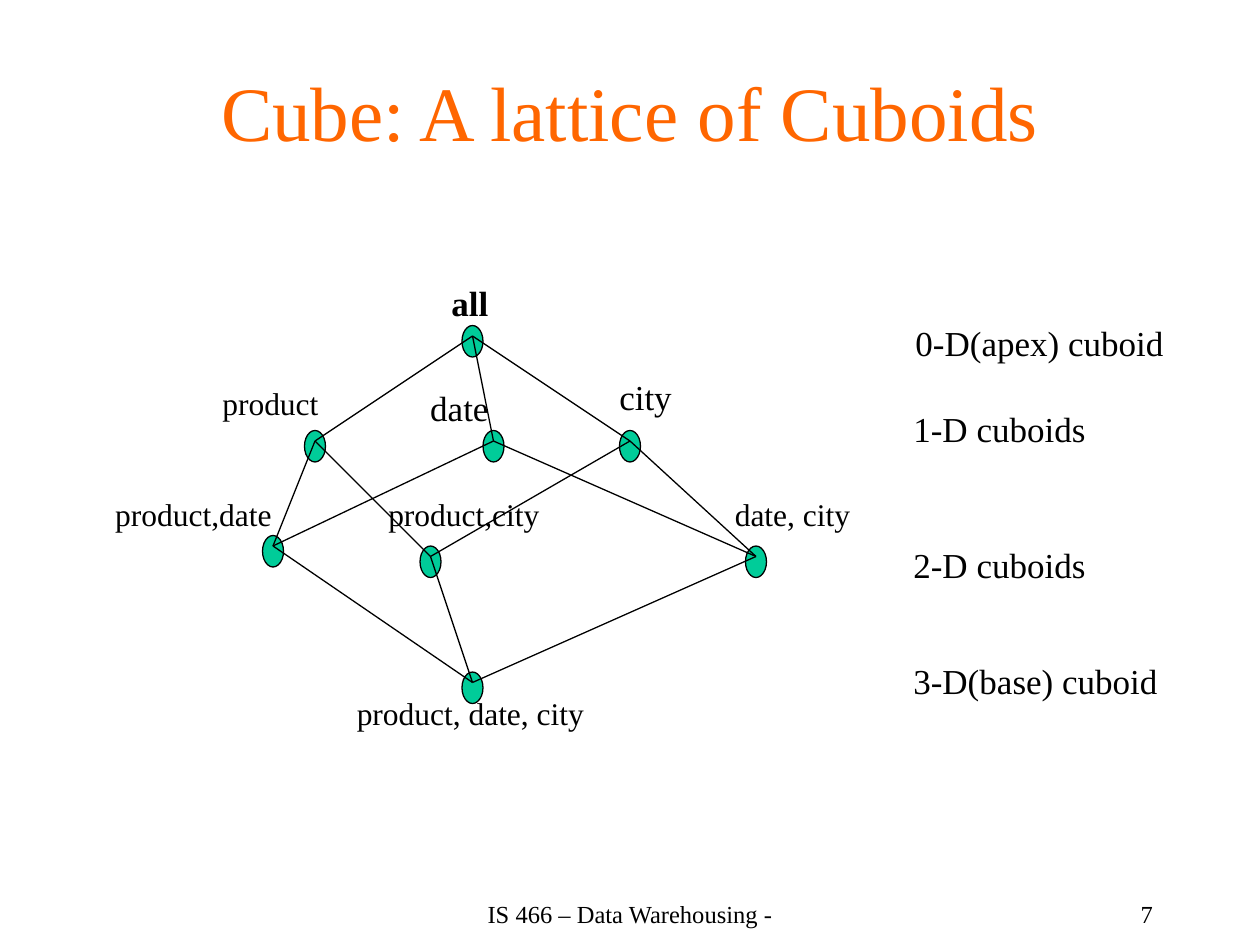
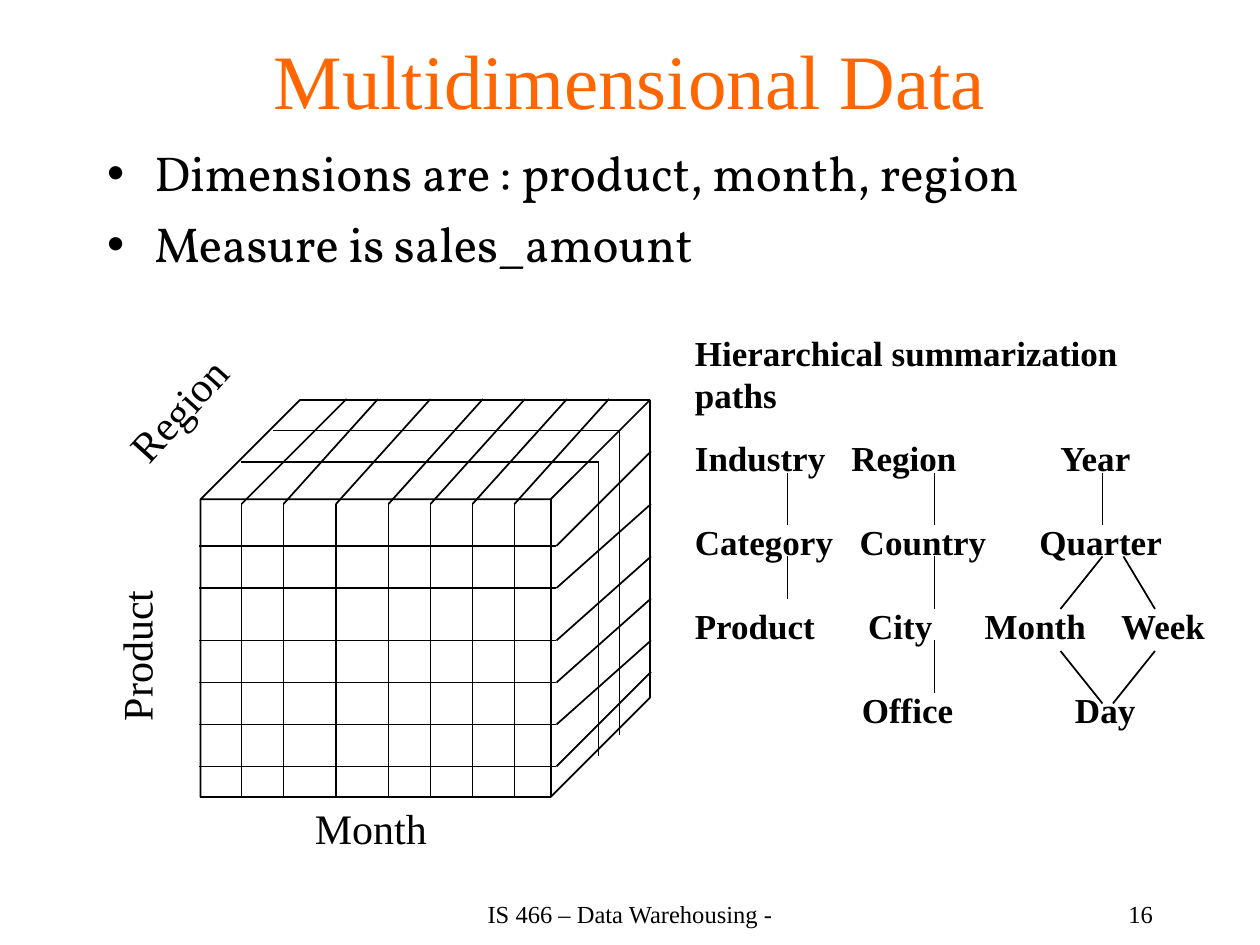
from lxml import etree
from pptx import Presentation
from pptx import util as u
from pptx.dml import color
from pptx.enum import shapes, text
from pptx.oxml import ns

PX = 7620
FONT = "Times New Roman"
BLACK, ORANGE, GREEN = "000000", "FF6600", "00CC99"
LEFT, CENTER, RIGHT = text.PP_ALIGN.LEFT, text.PP_ALIGN.CENTER, text.PP_ALIGN.RIGHT
TOP, MIDDLE = text.MSO_ANCHOR.TOP, text.MSO_ANCHOR.MIDDLE
rgb = color.RGBColor.from_string


def write(s, txt, box, sp=None, size=20, font=FONT, fill=BLACK, bold=False, align=LEFT,
          anchor=TOP, wrap=False, before=0, rot=0, tabs=()):
    x, y, w, h = [v * PX for v in box]
    sp = sp or s.shapes.add_textbox(x, y, w, h)
    sp.left, sp.top, sp.width, sp.height, sp.rotation = x, y, w, h, rot
    tf = sp.text_frame
    tf.word_wrap, tf.vertical_anchor = wrap, anchor
    tf.auto_size = text.MSO_AUTO_SIZE.NONE
    for i, row in enumerate(txt.split("\n")):
        p = tf.add_paragraph() if i else tf.paragraphs[0]
        p.alignment = align
        p.space_before = u.Pt(before)
        r = p.add_run()
        r.text = row
        r.font.size, r.font.name, r.font.bold = u.Pt(size), font, bold
        r.font.color.rgb = rgb(fill)
        if tabs:
            stops = etree.SubElement(p._p.get_or_add_pPr(), ns.qn("a:tabLst"))
            for pos in tabs[i]:
                etree.SubElement(stops, ns.qn("a:tab"), pos=str(pos * PX), algn="l")


def line(s, x1, y1, x2, y2, width=1):
    c = s.shapes.add_connector(shapes.MSO_CONNECTOR.STRAIGHT, x1 * PX, y1 * PX, x2 * PX, y2 * PX)
    c.line.width = u.Pt(width)
    c.line.color.rgb = rgb(BLACK)
    etree.SubElement(c._element.spPr, ns.qn("a:effectLst"))


prs = Presentation()
prs.slide_width, prs.slide_height = 1200 * PX, 900 * PX

slides = []
for layout, title, top, number in [
    (5, "Cube: A lattice of Cuboids", 30, "7"),
    (1, "Multidimensional Data", 0, "16"),
]:
    s = prs.slides.add_slide(prs.slide_layouts[layout])
    write(s, title, (90, top, 1020, 150), s.shapes.title, size=44, fill=ORANGE,
          align=CENTER, anchor=MIDDLE, wrap=True)
    write(s, "IS 466 – Data Warehousing -", (410, 840, 380, 60), size=14,
          align=CENTER, anchor=MIDDLE, wrap=True)
    write(s, number, (860, 840, 250, 60), size=14, align=RIGHT, anchor=MIDDLE, wrap=True)
    slides.append(s)
lattice, cube = slides

nodes = {
    "all": (450, 320),
    "p": (300, 420), "d": (470, 420), "c": (600, 420),
    "pd": (260, 520), "pc": (410, 530), "dc": (720, 530),
    "pdc": (450, 650),
}
for x, y in nodes.values():
    sp = lattice.shapes.add_shape(shapes.MSO_SHAPE.FLOWCHART_CONNECTOR,
                                  (x - 10) * PX, (y - 10) * PX, 20 * PX, 30 * PX)
    sp.shadow.inherit = False
    sp.fill.solid()
    sp.fill.fore_color.rgb = rgb(GREEN)
    sp.line.color.rgb = rgb(BLACK)
    sp.line.width = u.Pt(0.75)

for parent, children in {
    "all": ["p", "c", "d"],
    "p": ["pd", "pc"], "d": ["pd", "dc"], "c": ["pc", "dc"],
    "pd": ["pdc"], "pc": ["pdc"], "dc": ["pdc"],
}.items():
    for child in children:
        line(lattice, *nodes[parent], *nodes[child], width=0.75)

write(lattice, "all", (418, 262, 59, 53), bold=True)
for label, x, y, w, size in [
    ("product", 200, 360, 115, 18),
    ("date", 398, 362, 79, 20),
    ("city", 578, 352, 73, 20),
    ("product,date", 98, 466, 173, 18),
    ("product,city", 358, 466, 168, 18),
    ("date, city", 688, 466, 133, 18),
    ("product, date, city", 328, 655, 240, 18),
    ("0-D(apex) cuboid", 860, 300, 260, 20),
    ("1-D cuboids", 858, 382, 188, 20),
    ("2-D cuboids", 858, 512, 188, 20),
    ("3-D(base) cuboid", 858, 622, 257, 20),
]:
    write(lattice, label, (x, y, w, 50), size=size)

write(cube, "Dimensions are : product, month, region\nMeasure is sales_amount",
      (90, 130, 1020, 600), cube.placeholders[1], size=28, font="Vollkorn", wrap=True, before=7)

sp = cube.shapes.add_shape(shapes.MSO_SHAPE.CUBE, 191 * PX, 381 * PX, 428 * PX, 378 * PX)
sp.shadow.inherit = False
sp.fill.background()
sp.line.color.rgb = rgb(BLACK)
sp.line.width = u.Pt(1)

for y, back_y in [(520, 430), (560, 480), (610, 530), (650, 570), (690, 610), (730, 640)]:
    line(cube, 190, y, 530, y)
    line(cube, 530, y, 620, back_y)
for x in [230, 270, 320, 370, 410, 450, 490]:
    line(cube, x, 480, x, 760)
    line(cube, x, 480, x + (100 if x == 230 else 90), 380)
for x, y, corner_x, bottom in [(260, 410, 590, 700), (230, 440, 570, 720)]:
    line(cube, x, y, corner_x, y)
    line(cube, corner_x, y, corner_x, bottom)

for axis, box, rot in [
    ("Product", (55, 594, 149, 60), 270),
    ("Region", (100, 360, 139, 60), 312),
    ("Month", (288, 758, 131, 60), 0),
]:
    write(cube, axis, box, size=24, rot=rot)

write(cube, "Hierarchical summarization paths", (650, 310, 512, 92), bold=True, wrap=True)
levels = [
    ("Industry\tRegion\tYear", (149, 348)),
    ("Category\tCountry\tQuarter", (157, 328)),
    ("Product\tCity\tMonth\tWeek", (165, 276, 406)),
    ("\tOffice\tDay", (159, 362)),
]
write(cube, "\n".join(row for row, _ in levels), (650, 410, 520, 293), bold=True,
      wrap=True, before=24, tabs=[stops for _, stops in levels])
cube.shapes[-1].text_frame.paragraphs[0].space_before = u.Pt(0)

for link in [
    (750, 450, 750, 500), (890, 450, 890, 500), (1050, 450, 1050, 500),
    (750, 530, 750, 570), (890, 530, 890, 580), (890, 610, 890, 660),
    (1050, 530, 1010, 580), (1070, 530, 1100, 580),
    (1010, 620, 1050, 670), (1100, 620, 1060, 670),
]:
    line(cube, *link)

prs.save("out.pptx")
